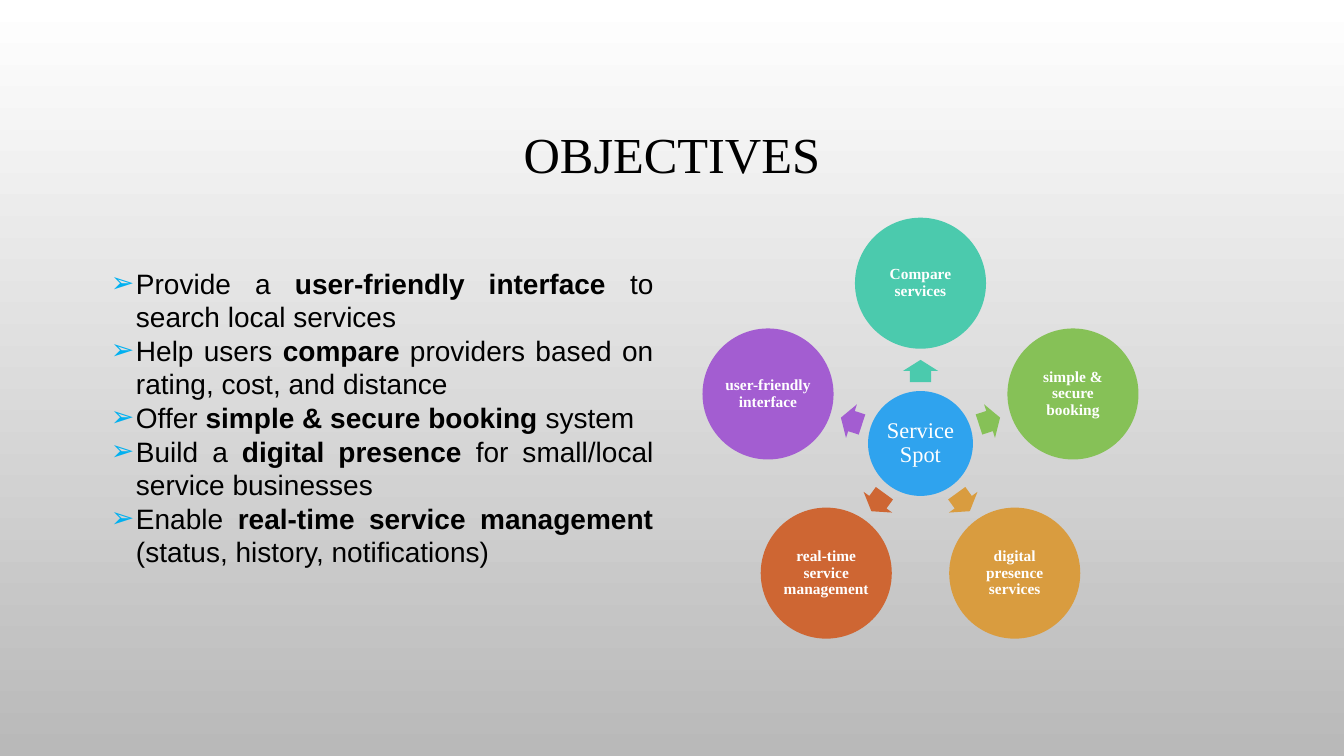
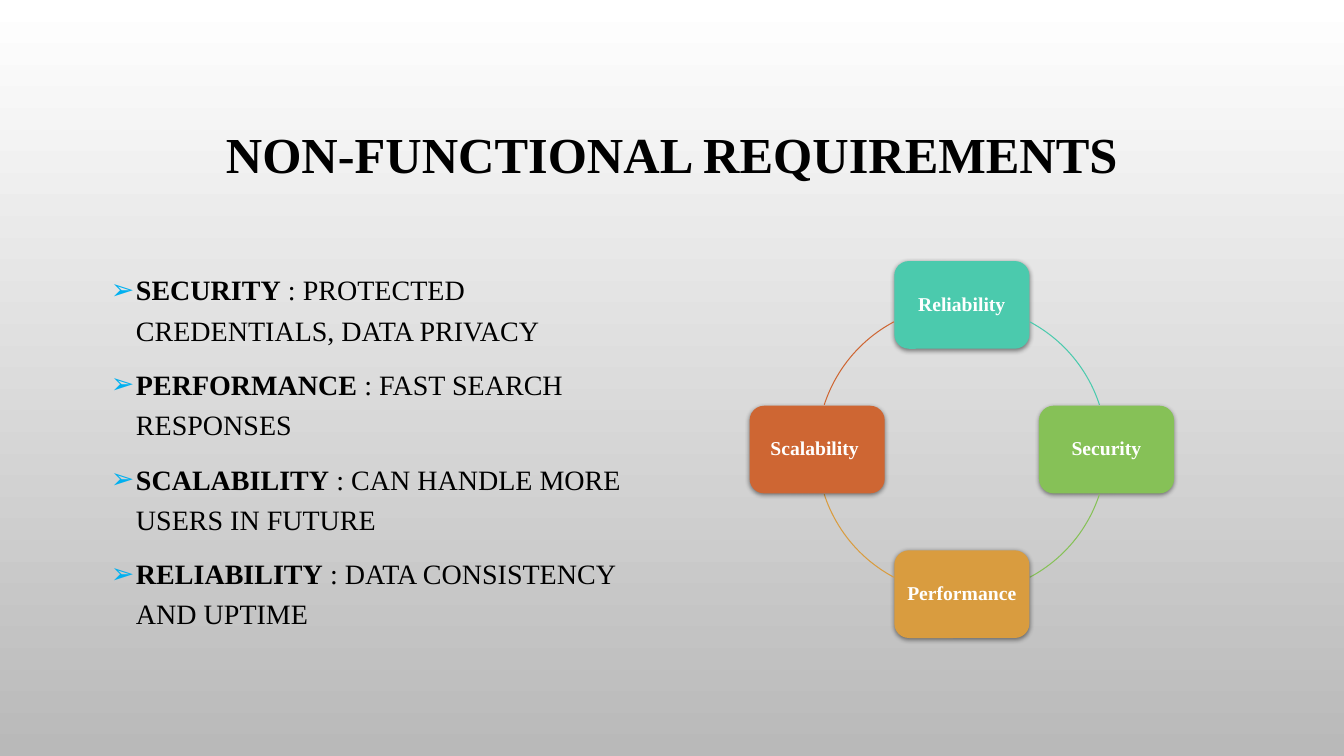
import math

import lxml.etree
import pptx
import pptx.dml.color
import pptx.enum.shapes
import pptx.enum.text
import pptx.oxml.ns
import pptx.util

Inches = pptx.util.Inches
Pt = pptx.util.Pt
RGB = pptx.dml.color.RGBColor
Shape = pptx.enum.shapes.MSO_SHAPE
Align = pptx.enum.text.PP_ALIGN
Anchor = pptx.enum.text.MSO_ANCHOR
qn = pptx.oxml.ns.qn

BLACK = RGB(0, 0, 0)
WHITE = RGB(255, 255, 255)
GREY = RGB(0xB9, 0xB9, 0xB9)
SKY = RGB(0, 0xB0, 0xF0)
BLUE = RGB(0x2F, 0xA3, 0xEE)
TEAL = RGB(0x4B, 0xCA, 0xAD)
GREEN = RGB(0x86, 0xC1, 0x57)
GOLD = RGB(0xD9, 0x9C, 0x3F)
RUST = RGB(0xCE, 0x66, 0x33)
PLUM = RGB(0xA3, 0x5D, 0xD1)

SERIF = "Times New Roman"
SANS = "Arial"

GOALS = [
    ("Provide a ", "user-friendly interface", " to search local services"),
    ("Help users ", "compare",
     " providers based on rating, cost, and distance"),
    ("Offer ", "simple & secure booking", " system"),
    ("Build a ", "digital presence", " for small/local service businesses"),
    ("Enable ", "real-time service management",
     " (status, history, notifications)"),
]
SPOKES = [
    ("Compare services", TEAL),
    ("simple & secure booking", GREEN),
    ("digital presence services", GOLD),
    ("real-time service management", RUST),
    ("user-friendly interface", PLUM),
]
NEEDS = [
    ("", "SECURITY", " : PROTECTED CREDENTIALS, DATA PRIVACY"),
    ("", "PERFORMANCE", " : FAST SEARCH RESPONSES"),
    ("", "SCALABILITY", " : CAN HANDLE MORE USERS IN FUTURE"),
    ("", "RELIABILITY", " : DATA CONSISTENCY AND UPTIME"),
]
CYCLE = [
    ("Reliability", TEAL),
    ("Security", GREEN),
    ("Performance", GOLD),
    ("Scalability ", RUST),
]


def orbit(mid, radius, angle):
    """Point on a circle, with the angle in degrees clockwise from the right."""
    turn = math.radians(angle)
    return mid[0] + radius * math.cos(turn), mid[1] + radius * math.sin(turn)


class Deck:
    def __init__(self):
        self.prs = pptx.Presentation()
        self.prs.slide_width = Inches(13.33)
        self.prs.slide_height = Inches(7.5)
        self.slide = None

    def page(self, title, bold=False):
        """Start a slide with the shared background and title."""
        self.slide = self.prs.slides.add_slide(self.prs.slide_layouts[6])
        fill = self.slide.background.fill
        fill.gradient()
        fill.gradient_angle = 270
        for stop, spot, color in zip(fill.gradient_stops, (0, 1), (WHITE, GREY)):
            stop.position = spot
            stop.color.rgb = color
        frame = self.box(1, 0.68, 11.33, 1.75)
        frame.vertical_anchor = Anchor.MIDDLE
        para = frame.paragraphs[0]
        para.alignment = Align.CENTER
        para.line_spacing = 0.9
        self.run(para, title, 36, bold=bold)

    def box(self, left, top, width, height):
        shape = self.slide.shapes.add_textbox(
            Inches(left), Inches(top), Inches(width), Inches(height))
        shape.text_frame.word_wrap = True
        return shape.text_frame

    def run(self, para, text, size, color=BLACK, bold=False, face=SERIF):
        run = para.add_run()
        run.text = text
        font = run.font
        font.name, font.size, font.bold = face, Pt(size), bold
        font.color.rgb = color

    def bullet(self, para):
        props = para._p.get_or_add_pPr()
        props.set("marL", str(Inches(0.25)))
        props.set("indent", str(Inches(-0.25)))
        tint = lxml.etree.SubElement(props, qn("a:buClr"))
        lxml.etree.SubElement(tint, qn("a:srgbClr"), val=str(SKY))
        lxml.etree.SubElement(props, qn("a:buFont"), typeface=SANS)
        lxml.etree.SubElement(props, qn("a:buChar"), char="➢")

    def points(self, rows, face, align=Align.LEFT, line=None, gap=0):
        """Bulleted list; each row is lead, bold words and tail."""
        frame = self.box(1, 2.59, 5.58, 3.74)
        for i, row in enumerate(rows):
            para = frame.add_paragraph() if i else frame.paragraphs[0]
            self.bullet(para)
            para.alignment = align
            para.line_spacing = line
            para.space_before = Pt(gap if i else 0)
            for text, bold in zip(row, (False, True, False)):
                if text:
                    self.run(para, text, 20, bold=bold, face=face)

    def shape(self, kind, mid, width, height, color=None):
        """Preset shape placed by its middle."""
        shape = self.slide.shapes.add_shape(
            kind, Inches(mid[0] - width / 2), Inches(mid[1] - height / 2),
            Inches(width), Inches(height))
        shape.shadow.inherit = False
        shape.line.fill.background()
        if color is None:
            shape.fill.background()
        else:
            shape.fill.solid()
            shape.fill.fore_color.rgb = color
        return shape

    def label(self, shape, text, size, inset, bold=True):
        frame = shape.text_frame
        frame.word_wrap = True
        frame.vertical_anchor = Anchor.MIDDLE
        frame.margin_left = frame.margin_right = Inches(inset)
        frame.margin_top = frame.margin_bottom = Inches(inset)
        para = frame.paragraphs[0]
        para.alignment = Align.CENTER
        para.line_spacing = 0.9
        self.run(para, text, size, WHITE, bold)

    def disc(self, mid, size, color, text, points, bold=True):
        shape = self.shape(Shape.OVAL, mid, size, size, color)
        self.label(shape, text, points, 0.02, bold)

    def arrow(self, mid, angle, color):
        shape = self.shape(Shape.RIGHT_ARROW, mid, 0.22, 0.35, color)
        shape.adjustments[0] = 0.6
        shape.adjustments[1] = 0.5
        shape.rotation = angle % 360

    def card(self, mid, color, text):
        shape = self.shape(Shape.ROUNDED_RECTANGLE, mid, 1.34, 0.87, color)
        self.label(shape, text, 14, 0.06)
        effects = shape._element.spPr.find(qn("a:effectLst"))
        shadow = lxml.etree.SubElement(
            effects, qn("a:outerShdw"), blurRad=str(Pt(3.5)),
            dist=str(Pt(1.1)), dir="5400000", rotWithShape="0")
        tint = lxml.etree.SubElement(shadow, qn("a:srgbClr"), val=str(BLACK))
        lxml.etree.SubElement(tint, qn("a:alpha"), val="45000")

    def arc(self, mid, radius, start, end, color):
        shape = self.shape(Shape.ARC, mid, 2 * radius, 2 * radius)
        # Adjustments count in 100000ths, arc angles in 60000ths of a degree.
        shape.adjustments[0] = start % 360 * 0.6
        shape.adjustments[1] = end % 360 * 0.6
        shape.line.color.rgb = color
        shape.line.width = Pt(0.75)

    def wheel(self, hub, spokes):
        mid = (9.13, 4.4)
        self.disc(mid, 1.04, BLUE, hub, 16, bold=False)
        for i, (text, color) in enumerate(spokes):
            angle = -90 + i * 360 / len(spokes)
            self.arrow(orbit(mid, 0.72, angle), angle, color)
            self.disc(orbit(mid, 1.59, angle), 1.3, color, text, 11)

    def ring(self, nodes):
        mid, radius = (9.54, 4.46), 1.435
        step = 360 / len(nodes)
        for i, (text, color) in enumerate(nodes):
            angle = -90 + i * step
            self.card(orbit(mid, radius, angle), color, text)
            # Arcs stop at card edges: 28° from upright, 18° from level.
            ends = (28, 72) if i % 2 == 0 else (18, 62)
            self.arc(mid, radius, angle + ends[0], angle + ends[1], color)


def main():
    deck = Deck()
    deck.page("OBJECTIVES")
    deck.points(GOALS, SANS, Align.JUSTIFY)
    deck.wheel("Service Spot", SPOKES)

    deck.page("NON-FUNCTIONAL REQUIREMENTS", bold=True)
    deck.ring(CYCLE)
    deck.points(NEEDS, SERIF, line=1.2, gap=10)
    deck.prs.save("out.pptx")


if __name__ == "__main__":
    main()
